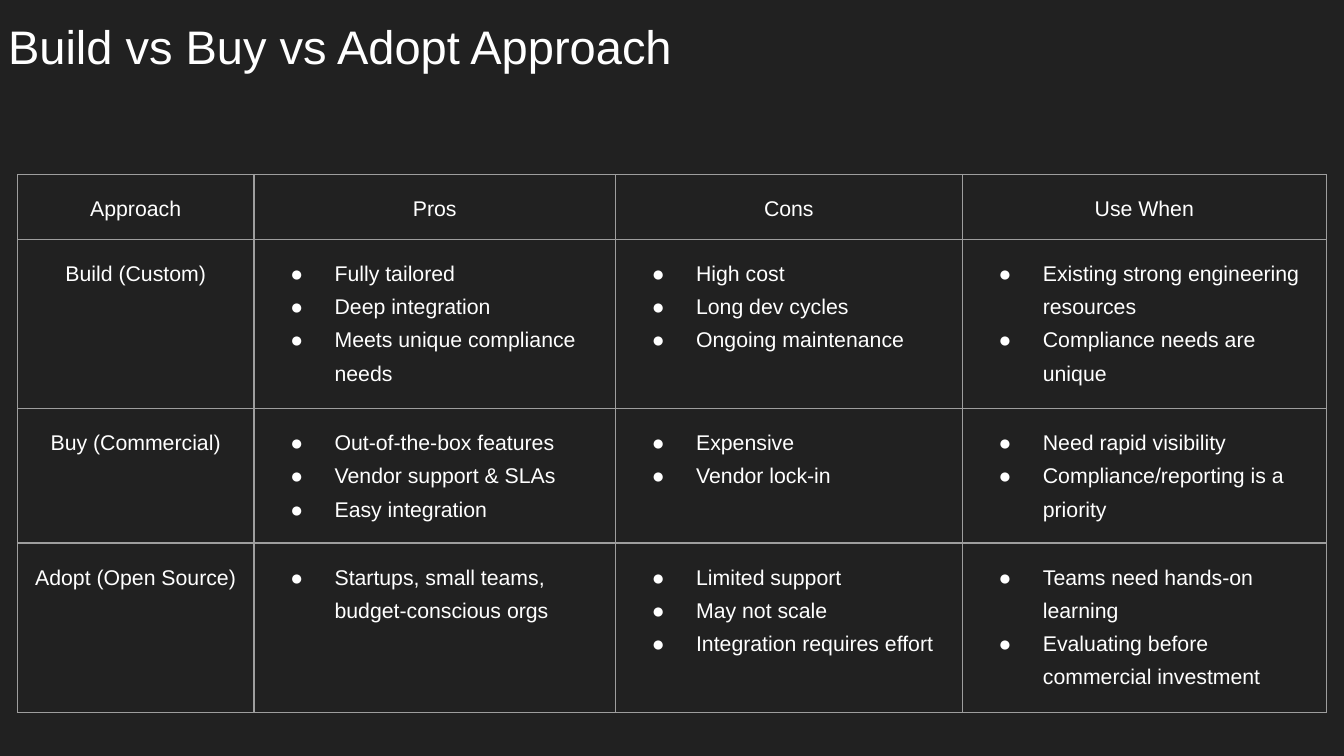
from lxml import etree
from pptx import Presentation
from pptx.dml.color import RGBColor
from pptx.enum.text import MSO_ANCHOR, PP_ALIGN
from pptx.oxml.ns import qn
from pptx.util import Inches, Pt

CENTER, LEFT = PP_ALIGN.CENTER, PP_ALIGN.LEFT
TOP = MSO_ANCHOR.TOP
TITLE_ONLY = 5

COLORS = {"background": "212121", "text": "FFFFFF", "border": "9E9E9E"}
FONT = "Arial"
SLIDE_WIDTH = 10
SLIDE_HEIGHT = SLIDE_WIDTH * 9 / 16
TITLE_SIZE, TABLE_SIZE = 25.2, 11.4
INSET = 0.1
LINE_SPACING = 1.4
BORDER_WIDTH = 0.75
BULLET_INDENT, BULLET_HANG = 0.5, 0.33

TABLE_LEFT, TABLE_TOP = 0.13, 1.3
COLUMN_WIDTHS = [1.76, 2.69, 2.58, 2.71]
ROW_HEIGHTS = [0.48, 1.26, 1, 1.26]

TITLE = "Build vs Buy vs Adopt Approach"
HEADERS = ["Approach", "Pros", "Cons", "Use When"]
APPROACHES = [
    ("Build (Custom)",
     ["Fully tailored", "Deep integration", "Meets unique compliance needs"],
     ["High cost", "Long dev cycles", "Ongoing maintenance"],
     ["Existing strong engineering resources", "Compliance needs are unique"]),
    ("Buy (Commercial)",
     ["Out-of-the-box features", "Vendor support & SLAs", "Easy integration"],
     ["Expensive", "Vendor lock-in"],
     ["Need rapid visibility", "Compliance/reporting is a priority"]),
    ("Adopt (Open Source)",
     ["Startups, small teams, budget-conscious orgs"],
     ["Limited support", "May not scale", "Integration requires effort"],
     ["Teams need hands-on learning", "Evaluating before commercial investment"]),
]


def add_run(para, text, size):
    run = para.add_run()
    run.text = text
    run.font.name = FONT
    run.font.size = Pt(size)
    run.font.bold = False
    run.font.color.rgb = RGBColor.from_string(COLORS["text"])


def set_insets(box):
    box.margin_left = box.margin_right = Inches(INSET)
    box.margin_top = box.margin_bottom = Inches(INSET)
    box.vertical_anchor = TOP


def add_color(parent, color):
    etree.SubElement(parent, qn("a:srgbClr"), val=COLORS[color])


def add_bullet(para):
    properties = para._p.get_or_add_pPr()
    properties.set("marL", str(Inches(BULLET_INDENT)))
    properties.set("indent", str(-Inches(BULLET_HANG)))
    add_color(etree.SubElement(properties, qn("a:buClr")), "text")
    etree.SubElement(properties, qn("a:buFont"), typeface=FONT)
    etree.SubElement(properties, qn("a:buChar"), char="●")


def set_borders(cell):
    properties = cell._tc.get_or_add_tcPr()
    for index, side in enumerate(("lnL", "lnR", "lnT", "lnB")):
        line = etree.Element(qn(f"a:{side}"), w=str(Pt(BORDER_WIDTH)))
        add_color(etree.SubElement(line, qn("a:solidFill")), "border")
        properties.insert(index, line)


def fill_cell(cell, content):
    """Write a centred label from a string, or bullets from a list."""
    set_insets(cell)
    cell.fill.background()
    set_borders(cell)
    bulleted = isinstance(content, list)
    frame = cell.text_frame
    for index, text in enumerate(content if bulleted else [content]):
        para = frame.add_paragraph() if index else frame.paragraphs[0]
        para.alignment = LEFT if bulleted else CENTER
        para.line_spacing = LINE_SPACING
        if bulleted:
            add_bullet(para)
        add_run(para, text, TABLE_SIZE)


def add_comparison_table(page):
    rows = [HEADERS, *APPROACHES]
    table = page.shapes.add_table(
        len(rows), len(HEADERS), Inches(TABLE_LEFT), Inches(TABLE_TOP),
        Inches(sum(COLUMN_WIDTHS)), Inches(sum(ROW_HEIGHTS))).table
    table.first_row = table.horz_banding = False
    for column, width in zip(table.columns, COLUMN_WIDTHS):
        column.width = Inches(width)
    for row, height, contents in zip(table.rows, ROW_HEIGHTS, rows):
        row.height = Inches(height)
        for cell, content in zip(row.cells, contents):
            fill_cell(cell, content)


def set_title(page):
    box = page.shapes.title
    box.left, box.top = Inches(-0.04), Inches(0.03)
    box.width, box.height = Inches(8.41), Inches(0.59)
    frame = box.text_frame
    set_insets(frame)
    frame.word_wrap = True
    para = frame.paragraphs[0]
    para.alignment = LEFT
    add_run(para, TITLE, TITLE_SIZE)


def main():
    deck = Presentation()
    deck.slide_width, deck.slide_height = Inches(SLIDE_WIDTH), Inches(SLIDE_HEIGHT)
    page = deck.slides.add_slide(deck.slide_layouts[TITLE_ONLY])

    # Dark background
    fill = page.background.fill
    fill.solid()
    fill.fore_color.rgb = RGBColor.from_string(COLORS["background"])

    # Table and title
    add_comparison_table(page)
    set_title(page)
    deck.save("out.pptx")


if __name__ == "__main__":
    main()
